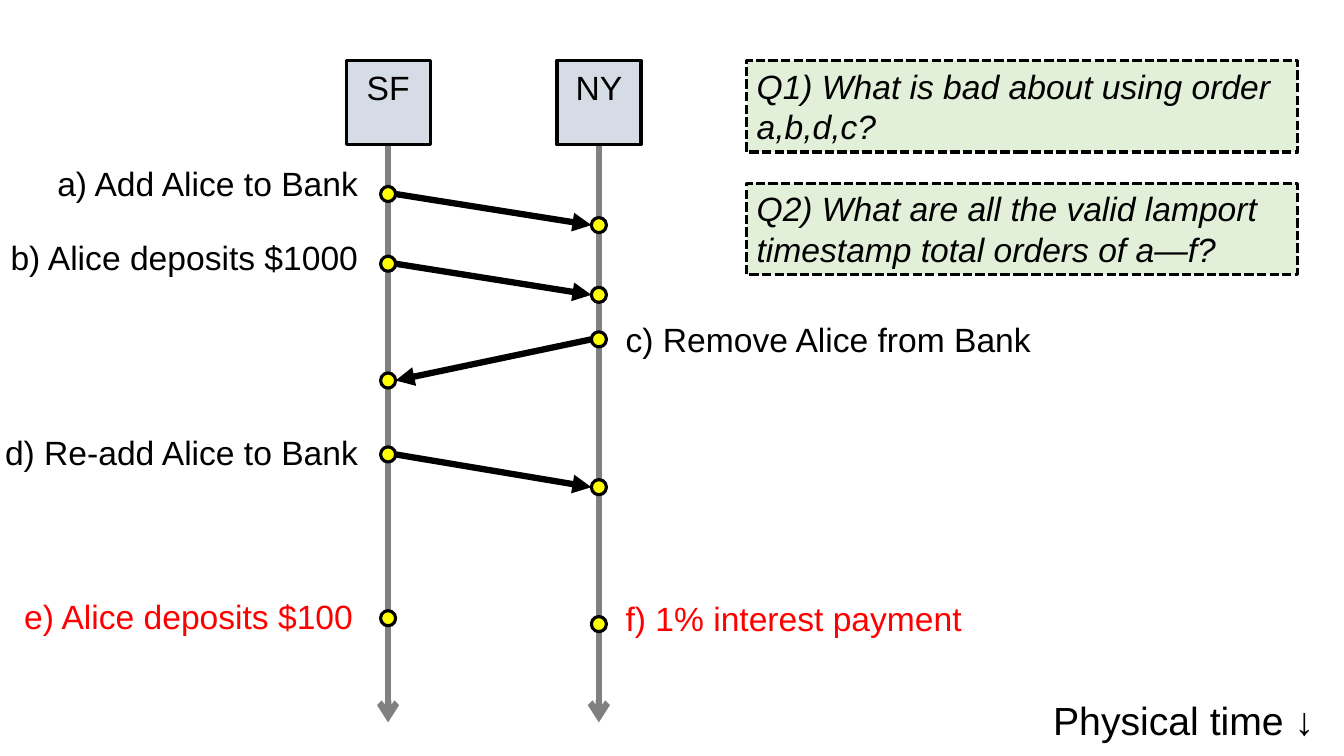
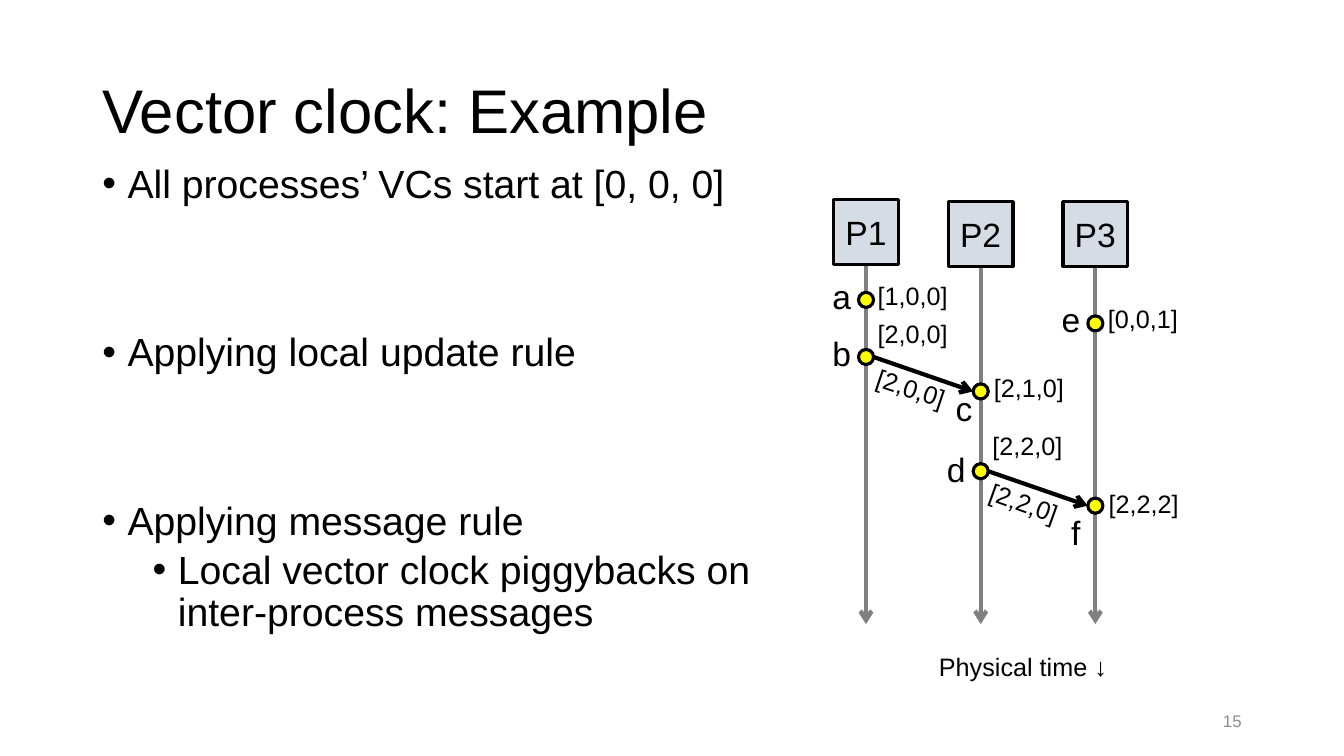
from dataclasses import dataclass

import lxml.etree
import pptx
import pptx.dml.color
import pptx.enum.dml
import pptx.enum.shapes
import pptx.enum.text
import pptx.oxml.ns
import pptx.presentation
import pptx.shapes.base
import pptx.slide
import pptx.text.text
import pptx.util

RGBColor = pptx.dml.color.RGBColor
BLACK = RGBColor(0x00, 0x00, 0x00)
RED = RGBColor(0xFF, 0x00, 0x00)
YELLOW = RGBColor(0xFF, 0xFF, 0x00)
LIFELINE_GRAY = RGBColor(0x80, 0x80, 0x80)
NUMBER_GRAY = RGBColor(0x8C, 0x8C, 0x8C)
PROCESS_FILL = RGBColor(0xD6, 0xDC, 0xE5)
QUESTION_FILL = RGBColor(0xE2, 0xF0, 0xD9)

FONT = "Arial"
COLUMNS, ROWS = 160, 90
CELL = pptx.util.Inches(1 / 12)
OUTLINE = 2.25
DOT = 1.8
TIME_LABEL = "Physical time ↓"

LEFT = pptx.enum.text.PP_ALIGN.LEFT
CENTER = pptx.enum.text.PP_ALIGN.CENTER
RIGHT = pptx.enum.text.PP_ALIGN.RIGHT
TOP = pptx.enum.text.MSO_ANCHOR.TOP
MIDDLE = pptx.enum.text.MSO_ANCHOR.MIDDLE
SHAPES = pptx.enum.shapes.MSO_SHAPE


@dataclass(frozen=True)
class Area:
    column: float
    row: float
    width: float
    height: float

    def lengths(self) -> tuple[int, ...]:
        return tuple(cells(value) for value in (self.column, self.row, self.width, self.height))


@dataclass(frozen=True)
class TextStyle:
    size: float
    color: RGBColor = BLACK
    align: int = LEFT
    anchor: int = TOP
    italic: bool = False
    wrap: bool = False
    spacing: float = 1.0


@dataclass(frozen=True)
class Process:
    name: str
    column: float
    row: float


@dataclass(frozen=True)
class Event:
    process: int
    row: float


@dataclass(frozen=True)
class Message:
    sent: Event
    received: Event


@dataclass(frozen=True)
class Diagram:
    processes: list[Process]
    box: float
    box_bottom_inset: float
    end_row: float
    line_width: float
    message_head: str
    messages: list[Message]
    local_events: list[Event]


@dataclass(frozen=True)
class Label:
    text: str
    column: float
    row: float
    color: RGBColor = BLACK
    rotation: float = 0


@dataclass(frozen=True)
class Bullet:
    text: str
    level: int
    space_before: float


def cells(count: float) -> int:
    return round(count * CELL)


def set_font(paragraph: pptx.text.text._Paragraph, style: TextStyle) -> None:
    paragraph.alignment = style.align
    paragraph.line_spacing = style.spacing
    paragraph.font.name = FONT
    paragraph.font.size = pptx.util.Pt(style.size)
    paragraph.font.color.rgb = style.color
    paragraph.font.italic = style.italic


def write(shape: pptx.shapes.base.BaseShape, text: str, style: TextStyle) -> None:
    frame = shape.text_frame
    frame.word_wrap = style.wrap
    frame.vertical_anchor = style.anchor
    frame.text = text
    set_font(frame.paragraphs[0], style)


def add_text(slide: pptx.slide.Slide, area: Area, text: str, style: TextStyle) -> pptx.shapes.base.BaseShape:
    shape = slide.shapes.add_textbox(*area.lengths())
    write(shape, text, style)
    return shape


def add_outlined(slide: pptx.slide.Slide, kind: int, area: Area, fill: RGBColor) -> pptx.shapes.base.BaseShape:
    shape = slide.shapes.add_shape(kind, *area.lengths())
    shape.shadow.inherit = False
    shape.fill.solid()
    shape.fill.fore_color.rgb = fill
    shape.line.color.rgb = BLACK
    shape.line.width = pptx.util.Pt(OUTLINE)
    return shape


def add_arrow(slide: pptx.slide.Slide, start: tuple[float, float], end: tuple[float, float],
              color: RGBColor, width: float, head: str) -> None:
    connector = slide.shapes.add_connector(
        pptx.enum.shapes.MSO_CONNECTOR.STRAIGHT, *map(cells, start + end))
    connector.line.color.rgb = color
    connector.line.width = pptx.util.Pt(width)
    properties = connector._element.spPr
    line = properties.find(pptx.oxml.ns.qn("a:ln"))
    lxml.etree.SubElement(line, pptx.oxml.ns.qn("a:tailEnd"), type=head)
    lxml.etree.SubElement(properties, pptx.oxml.ns.qn("a:effectLst"))


def add_process(slide: pptx.slide.Slide, diagram: Diagram, process: Process) -> None:
    bottom = process.row + diagram.box
    add_arrow(slide, (process.column, bottom), (process.column, diagram.end_row),
              LIFELINE_GRAY, diagram.line_width, "arrow")
    area = Area(process.column - diagram.box / 2, process.row, diagram.box, diagram.box)
    shape = add_outlined(slide, SHAPES.FLOWCHART_PROCESS, area, PROCESS_FILL)
    write(shape, process.name, TextStyle(24, align=CENTER, anchor=MIDDLE))
    shape.text_frame.margin_bottom = cells(diagram.box_bottom_inset)


def add_message(slide: pptx.slide.Slide, diagram: Diagram, message: Message) -> None:
    start = diagram.processes[message.sent.process].column
    end = diagram.processes[message.received.process].column
    reach = DOT / 2 if end > start else -DOT / 2
    add_arrow(slide, (start + reach, message.sent.row), (end - reach, message.received.row),
              BLACK, diagram.line_width, diagram.message_head)


def add_diagram(slide: pptx.slide.Slide, diagram: Diagram) -> None:
    for process in diagram.processes:
        add_process(slide, diagram, process)
    events = list(diagram.local_events)
    for message in diagram.messages:
        add_message(slide, diagram, message)
        events += [message.sent, message.received]
    for event in events:
        column = diagram.processes[event.process].column
        area = Area(column - DOT / 2, event.row - DOT / 2, DOT, DOT)
        add_outlined(slide, SHAPES.OVAL, area, YELLOW)


def add_bullets(slide: pptx.slide.Slide, area: Area, bullets: list[Bullet], style: TextStyle) -> None:
    frame = add_text(slide, area, "", style).text_frame
    for index, bullet in enumerate(bullets):
        paragraph = frame.add_paragraph() if index else frame.paragraphs[0]
        paragraph.text = bullet.text
        properties = paragraph._p.get_or_add_pPr()
        properties.set("marL", str(cells(3 + 6 * bullet.level)))
        properties.set("indent", str(cells(-3)))
        lxml.etree.SubElement(properties, pptx.oxml.ns.qn("a:buFont"), typeface=FONT)
        lxml.etree.SubElement(properties, pptx.oxml.ns.qn("a:buChar"), char="•")
        paragraph.level = bullet.level
        paragraph.space_before = pptx.util.Pt(bullet.space_before)
        set_font(paragraph, style)


def add_blank_slide(presentation: pptx.presentation.Presentation) -> pptx.slide.Slide:
    return presentation.slides.add_slide(presentation.slide_layouts[6])


def build_bank_slide(presentation: pptx.presentation.Presentation) -> None:
    slide = add_blank_slide(presentation)
    sf, ny = 0, 1
    add_diagram(slide, Diagram(
        processes=[Process("SF", 46.2, 7.2), Process("NY", 71.3, 7.2)],
        box=10, box_bottom_inset=4.2, end_row=86, line_width=4.5, message_head="triangle",
        messages=[
            Message(Event(sf, 23.1), Event(ny, 26.8)),
            Message(Event(sf, 31.4), Event(ny, 35.1)),
            Message(Event(ny, 40.4), Event(sf, 45.3)),
            Message(Event(sf, 54.1), Event(ny, 58)),
        ],
        local_events=[Event(sf, 73.6), Event(ny, 74.3)],
    ))

    for label in (
        Label("a) Add Alice to Bank", 43.8, 18.8),
        Label("b) Alice deposits $1000", 43.8, 27.6),
        Label("d) Re-add Alice to Bank", 43.8, 50.8),
        Label("e) Alice deposits $100", 43.2, 70.3, RED),
    ):
        shape = add_text(slide, Area(0, label.row, label.column, 6), label.text,
                         TextStyle(24, label.color, RIGHT))
        shape.text_frame.margin_left = 0
    for label in (
        Label("c) Remove Alice from Bank", 73.3, 37.4),
        Label("f) 1% interest payment", 73.3, 70.6, RED),
    ):
        add_text(slide, Area(label.column, label.row, 51, 6), label.text,
                 TextStyle(24, label.color, wrap=True))

    for row, question in (
        (7.2, "Q1) What is bad about using order a,b,d,c?"),
        (21.8, "Q2) What are all the valid lamport timestamp total orders of a—f?"),
    ):
        shape = add_outlined(slide, SHAPES.RECTANGLE, Area(88.9, row, 65.6, 10.9), QUESTION_FILL)
        shape.line.dash_style = pptx.enum.dml.MSO_LINE.SQUARE_DOT
        write(shape, question, TextStyle(24, italic=True, wrap=True))
    add_text(slide, Area(124.2, 82.3, 33.8, 6.8), TIME_LABEL, TextStyle(28))


def build_vector_slide(presentation: pptx.presentation.Presentation) -> None:
    slide = add_blank_slide(presentation)
    add_text(slide, Area(11, 4.8, 138, 17.4), "Vector clock: Example",
             TextStyle(44, anchor=MIDDLE, wrap=True, spacing=0.9))
    add_bullets(slide, Area(11, 19, 82.4, 68.5), [
        Bullet("All processes’ VCs start at [0, 0, 0]", 0, 0),
        Bullet("Applying local update rule", 0, 90),
        Bullet("Applying message rule", 0, 90),
        Bullet("Local vector clock piggybacks on inter-process messages", 1, 5),
    ], TextStyle(28, wrap=True, spacing=0.9))

    first, second, third = (103.1 + 13.65 * index for index in range(3))
    add_diagram(slide, Diagram(
        processes=[Process("P1", first, 23.8), Process("P2", second, 24), Process("P3", third, 24)],
        box=7.7, box_bottom_inset=0.6, end_row=74.3, line_width=3, message_head="arrow",
        messages=[
            Message(Event(0, 42.5), Event(1, 46.6)),
            Message(Event(1, 56.1), Event(2, 60.2)),
        ],
        local_events=[Event(0, 35.7), Event(2, 38.5)],
    ))

    for label in (
        Label("a", first, 32.2),
        Label("b", first, 39.1),
        Label("c", second + 0.8, 45.6),
        Label("d", second, 52.8),
        Label("e", third, 35),
        Label("f", third, 60.4),
    ):
        add_text(slide, Area(label.column - 5.6, label.row, 5, 6), label.text,
                 TextStyle(24, align=RIGHT))
    for label in (
        Label("[1,0,0]", first + 0.2, 32.8),
        Label("[2,0,0]", first + 0.2, 37.3),
        Label("[2,0,0]", first, 43.8, rotation=18.5),
        Label("[2,1,0]", second + 0.4, 43.7),
        Label("[2,2,0]", second + 0.2, 50.6),
        Label("[2,2,0]", second - 0.2, 57.5, rotation=19.8),
        Label("[0,0,1]", third + 0.3, 35.5),
        Label("[2,2,2]", third + 0.4, 57.5),
    ):
        shape = add_text(slide, Area(label.column, label.row, 10.9, 4.8), label.text, TextStyle(18))
        shape.rotation = label.rotation
    add_text(slide, Area(110.6, 77, 24.6, 4.8), TIME_LABEL, TextStyle(18))
    add_text(slide, Area(113, 83.4, 36, 4.8), "15",
             TextStyle(12, NUMBER_GRAY, RIGHT, MIDDLE, wrap=True))


def main() -> None:
    presentation = pptx.Presentation()
    presentation.slide_width = cells(COLUMNS)
    presentation.slide_height = cells(ROWS)
    build_bank_slide(presentation)
    build_vector_slide(presentation)
    presentation.save("out.pptx")


if __name__ == "__main__":
    main()
